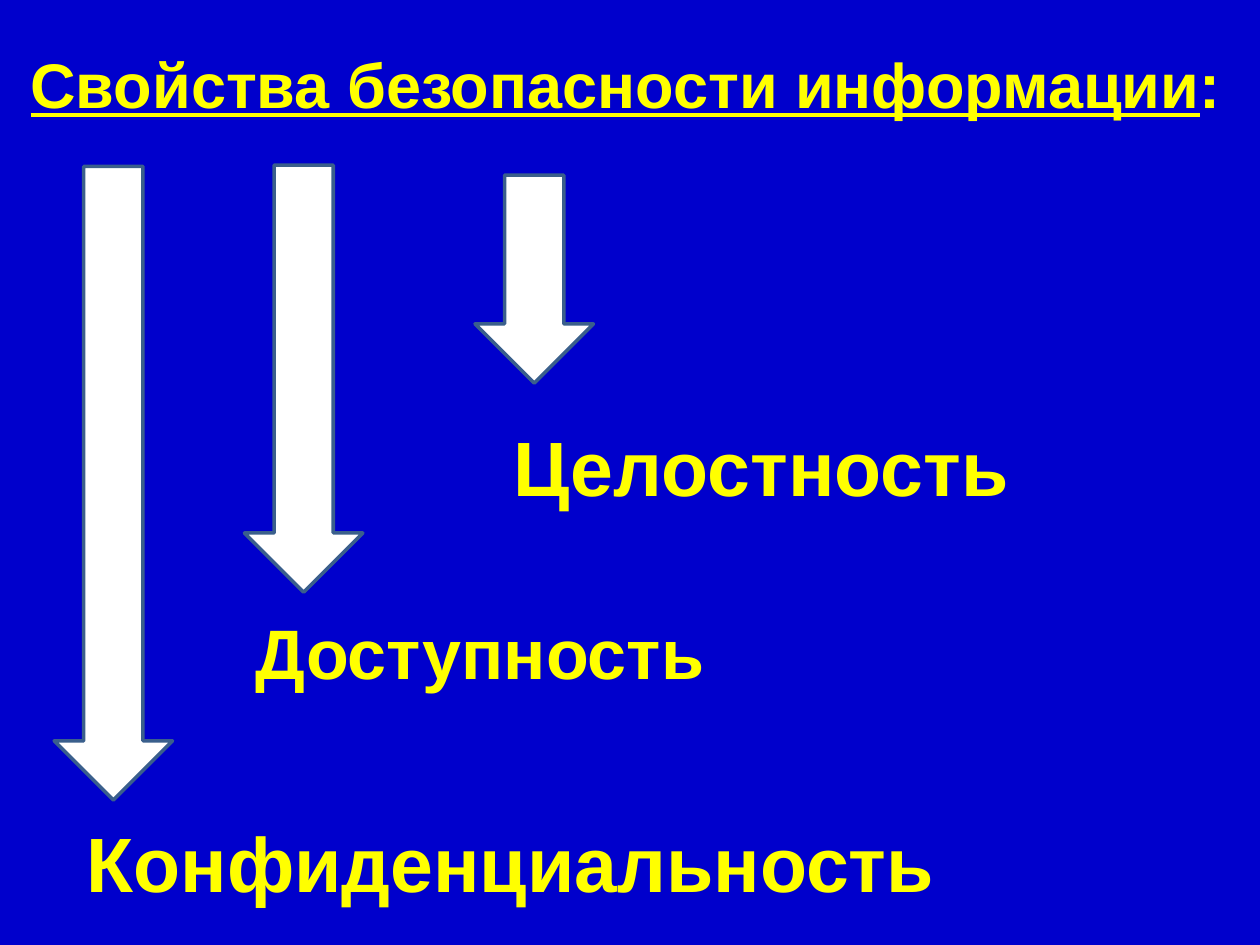
from pptx import Presentation
from pptx.dml.color import RGBColor
from pptx.enum.shapes import MSO_SHAPE
from pptx.enum.text import MSO_ANCHOR, MSO_AUTO_SIZE, PP_ALIGN
from pptx.util import Inches, Pt

DOWN_ARROW = MSO_SHAPE.DOWN_ARROW
TOP = MSO_ANCHOR.TOP
GROW = MSO_AUTO_SIZE.SHAPE_TO_FIT_TEXT
LEFT, CENTER = PP_ALIGN.LEFT, PP_ALIGN.CENTER

SLIDE_WIDTH, SLIDE_HEIGHT = Inches(10), Inches(7.5)
COLUMN, ROW = SLIDE_WIDTH / 100, SLIDE_HEIGHT / 75
ARROW_COLUMNS = 9.4
FONT = "Arial"
BLUE, YELLOW, WHITE, OUTLINE = "0000CC", "FFFF00", "FFFFFF", "3A5F8C"

TITLE_BOX = (1.2, 3.1, 96.9, 7.1)
# Arrow left, top and height; label text, size and box, in columns and rows
PROPERTIES = [
    ((37.7, 13.9, 16.5), "Целостность", 44, (39.8, 32.8, 43.3, 8.4)),
    ((19.4, 13.1, 33.9), "Доступность", 40, (19.3, 47.9, 37.8, 7.7)),
    ((4.3, 13.2, 50.3), "Конфиденциальность", 44, (5.9, 64.2, 70.9, 8.4)),
]


def color(value):
    return RGBColor.from_string(value)


def place(left, top, width, height):
    """Turn columns and rows into slide lengths."""
    return (round(left * COLUMN), round(top * ROW),
            round(width * COLUMN), round(height * ROW))


def add_text(slide, box, parts, size, alignment=LEFT):
    """Add one line of bold text from (text, underlined) parts."""
    text_frame = slide.shapes.add_textbox(*place(*box)).text_frame
    text_frame.word_wrap = True
    text_frame.auto_size = GROW
    text_frame.vertical_anchor = TOP
    paragraph = text_frame.paragraphs[0]
    paragraph.alignment = alignment
    for text, underlined in parts:
        run = paragraph.add_run()
        run.text = text
        run.font.name = FONT
        run.font.size = Pt(size)
        run.font.bold = True
        run.font.underline = underlined
        run.font.color.rgb = color(YELLOW)


def add_arrow(slide, left, top, height):
    arrow = slide.shapes.add_shape(
        DOWN_ARROW, *place(left, top, ARROW_COLUMNS, height))
    arrow.shadow.inherit = False
    arrow.fill.solid()
    arrow.fill.fore_color.rgb = color(WHITE)
    arrow.line.color.rgb = color(OUTLINE)
    arrow.line.width = Pt(2)


def add_property(slide, arrow_box, label, size, label_box):
    add_arrow(slide, *arrow_box)
    add_text(slide, label_box, [(label, False)], size)


def main():
    presentation = Presentation()
    presentation.slide_width = SLIDE_WIDTH
    presentation.slide_height = SLIDE_HEIGHT
    slide = presentation.slides.add_slide(presentation.slide_layouts[6])
    slide.background.fill.solid()
    slide.background.fill.fore_color.rgb = color(BLUE)

    title = [("Свойства безопасности информации", True), (":", False)]
    add_text(slide, TITLE_BOX, title, 36, CENTER)
    for information_property in PROPERTIES:
        add_property(slide, *information_property)
    presentation.save("out.pptx")


if __name__ == "__main__":
    main()
